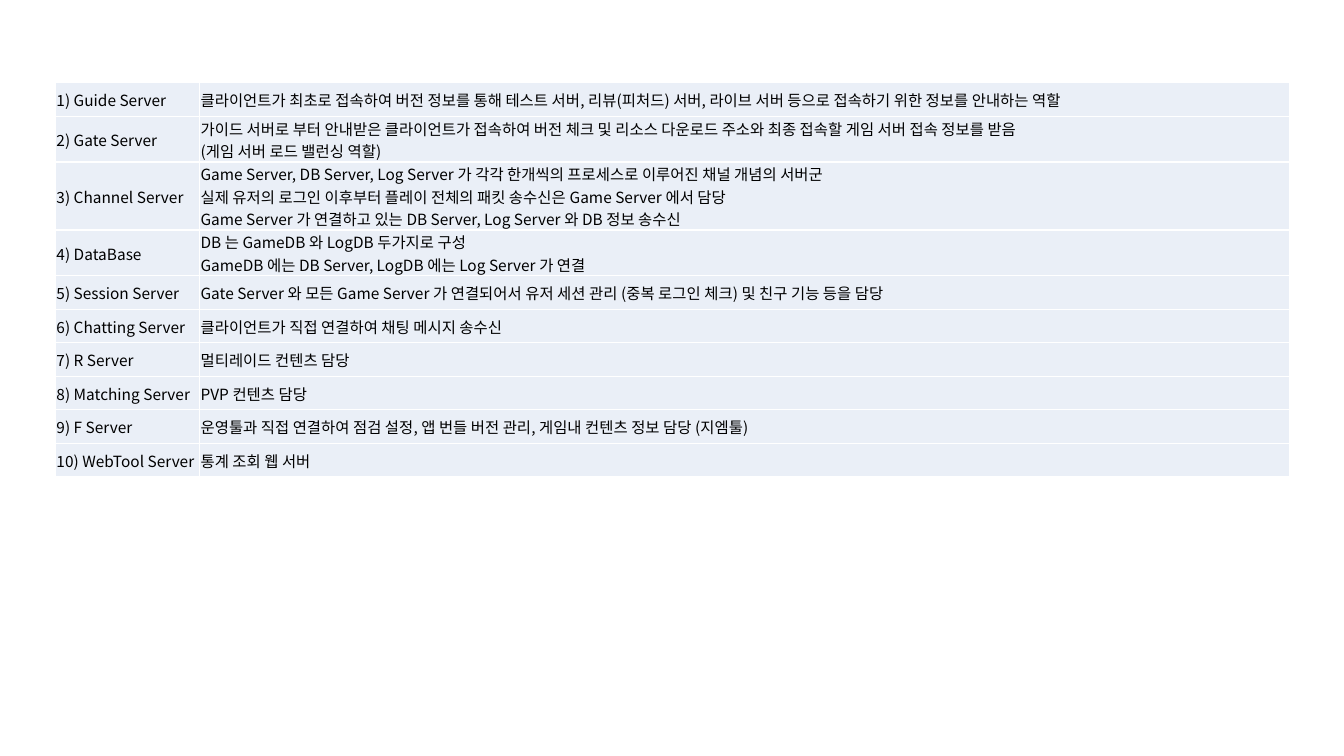
import pptx
import pptx.util
import pptx.dml.color
import pptx.enum.text
import lxml.etree
from pptx.oxml.ns import qn

Inches = pptx.util.Inches
FONT = "Noto Sans CJK KR"


def color(value):
    return pptx.dml.color.RGBColor.from_string(value)


servers = [
    ("Guide Server", ["클라이언트가 최초로 접속하여 버전 정보를 통해 테스트 서버, 리뷰(피처드) 서버, 라이브 서버 등으로 접속하기 위한 정보를 안내하는 역할"]),
    ("Gate Server", ["가이드 서버로 부터 안내받은 클라이언트가 접속하여 버전 체크 및 리소스 다운로드 주소와 최종 접속할 게임 서버 접속 정보를 받음",
                     "(게임 서버 로드 밸런싱 역할)"]),
    ("Channel Server", ["Game Server, DB Server, Log Server 가 각각 한개씩의 프로세스로 이루어진 채널 개념의 서버군",
                        "실제 유저의 로그인 이후부터 플레이 전체의 패킷 송수신은 Game Server 에서 담당",
                        "Game Server 가 연결하고 있는 DB Server, Log Server 와 DB 정보 송수신"]),
    ("DataBase", ["DB 는 GameDB 와 LogDB 두가지로 구성",
                  "GameDB 에는 DB Server, LogDB 에는 Log Server 가 연결"]),
    ("Session Server", ["Gate Server 와 모든 Game Server 가 연결되어서 유저 세션 관리 (중복 로그인 체크) 및 친구 기능 등을 담당"]),
    ("Chatting Server", ["클라이언트가 직접 연결하여 채팅 메시지 송수신"]),
    ("R Server", ["멀티레이드 컨텐츠 담당"]),
    ("Matching Server", ["PVP 컨텐츠 담당"]),
    ("F Server", ["운영툴과 직접 연결하여 점검 설정, 앱 번들 버전 관리, 게임내 컨텐츠 정보 담당 (지엠툴)"]),
    ("WebTool Server", ["통계 조회 웹 서버"]),
]

prs = pptx.Presentation()
prs.slide_width = Inches(13.33)
prs.slide_height = Inches(7.5)
s = prs.slides.add_slide(prs.slide_layouts[6])

row_height = 0.333
table = s.shapes.add_table(len(servers), 2, Inches(0.55), Inches(0.82),
                           Inches(12.24), Inches(row_height * len(servers))).table
table.first_row = False
table.horz_banding = False
table.columns[0].width = Inches(1.43)
table.columns[1].width = Inches(10.81)

for i, (name, roles) in enumerate(servers):
    table.rows[i].height = Inches(row_height)
    for j, lines in enumerate([[f"{i + 1}) {name}"], roles]):
        cell = table.cell(i, j)
        cell.fill.solid()
        cell.fill.fore_color.rgb = color("EAEFF7")
        cell.vertical_anchor = pptx.enum.text.MSO_ANCHOR.MIDDLE
        cell.margin_left = cell.margin_right = cell.margin_top = Inches(0.01)
        cell.margin_bottom = 0
        tf = cell.text_frame
        for k, line in enumerate(lines):
            p = tf.add_paragraph() if k else tf.paragraphs[0]
            r = p.add_run()
            r.text = line
            r.font.size = pptx.util.Pt(11)
            r.font.name = FONT
            r.font.color.rgb = color("000000")
            lxml.etree.SubElement(r.font._element, qn("a:ea"), typeface=FONT)

prs.save("out.pptx")
